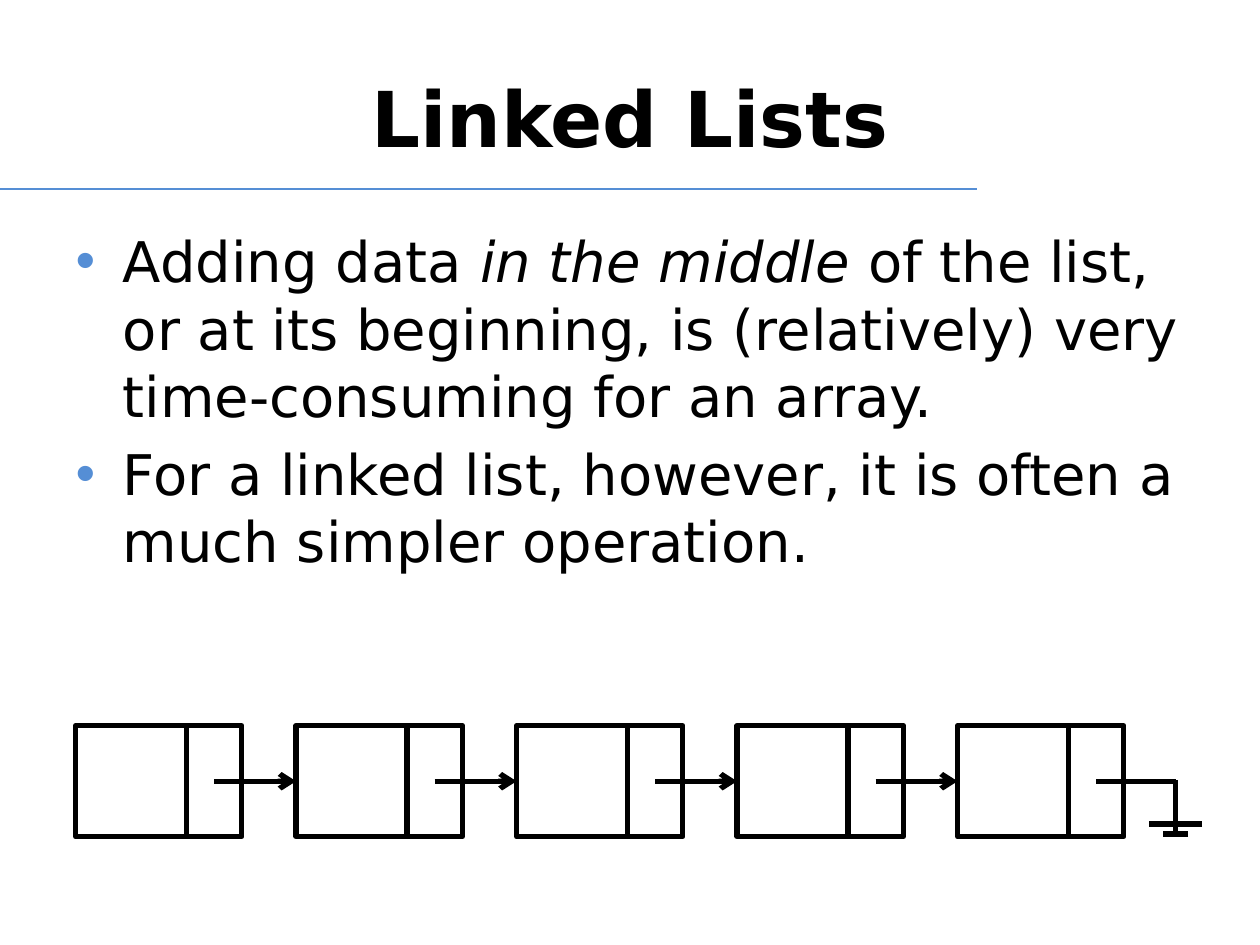
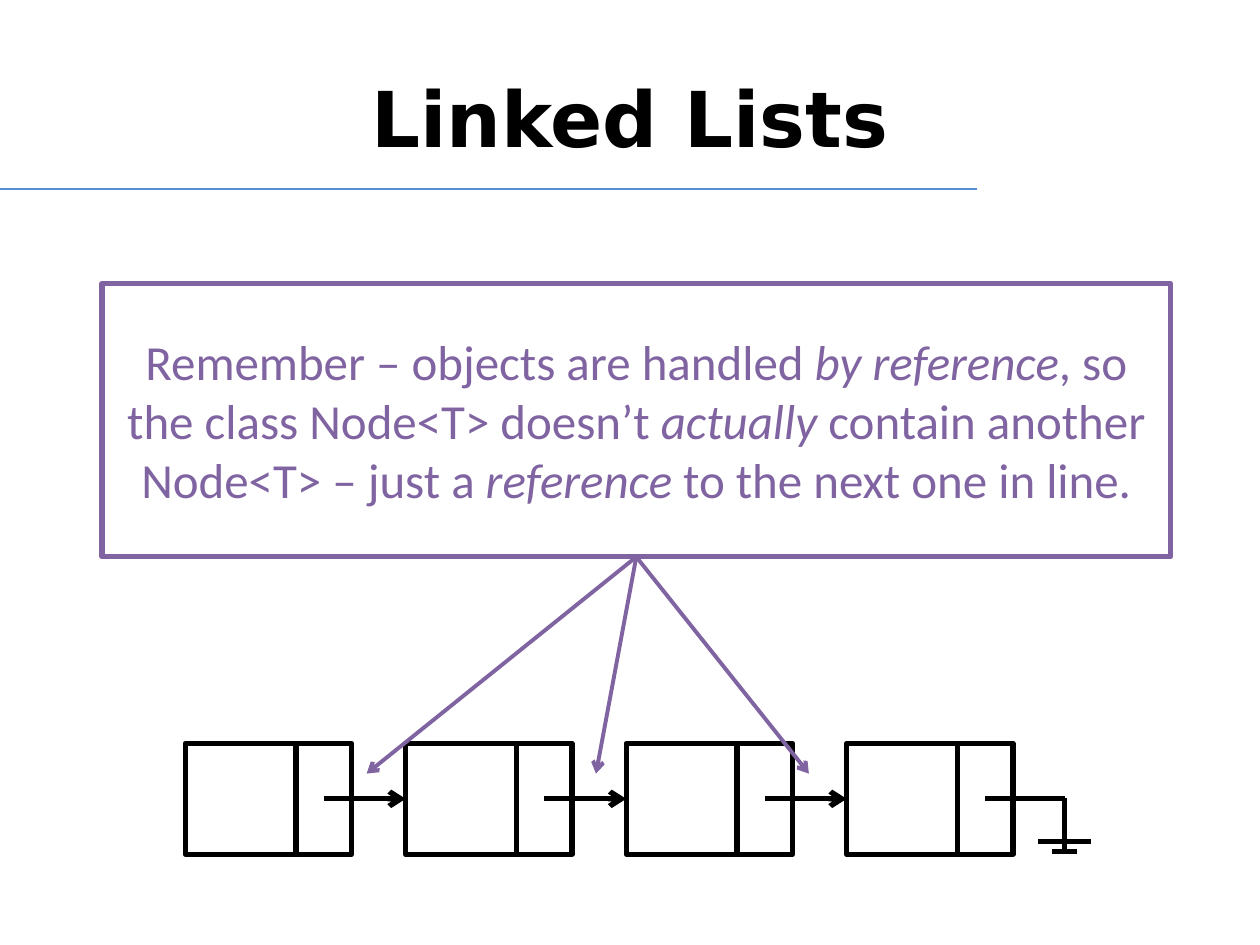
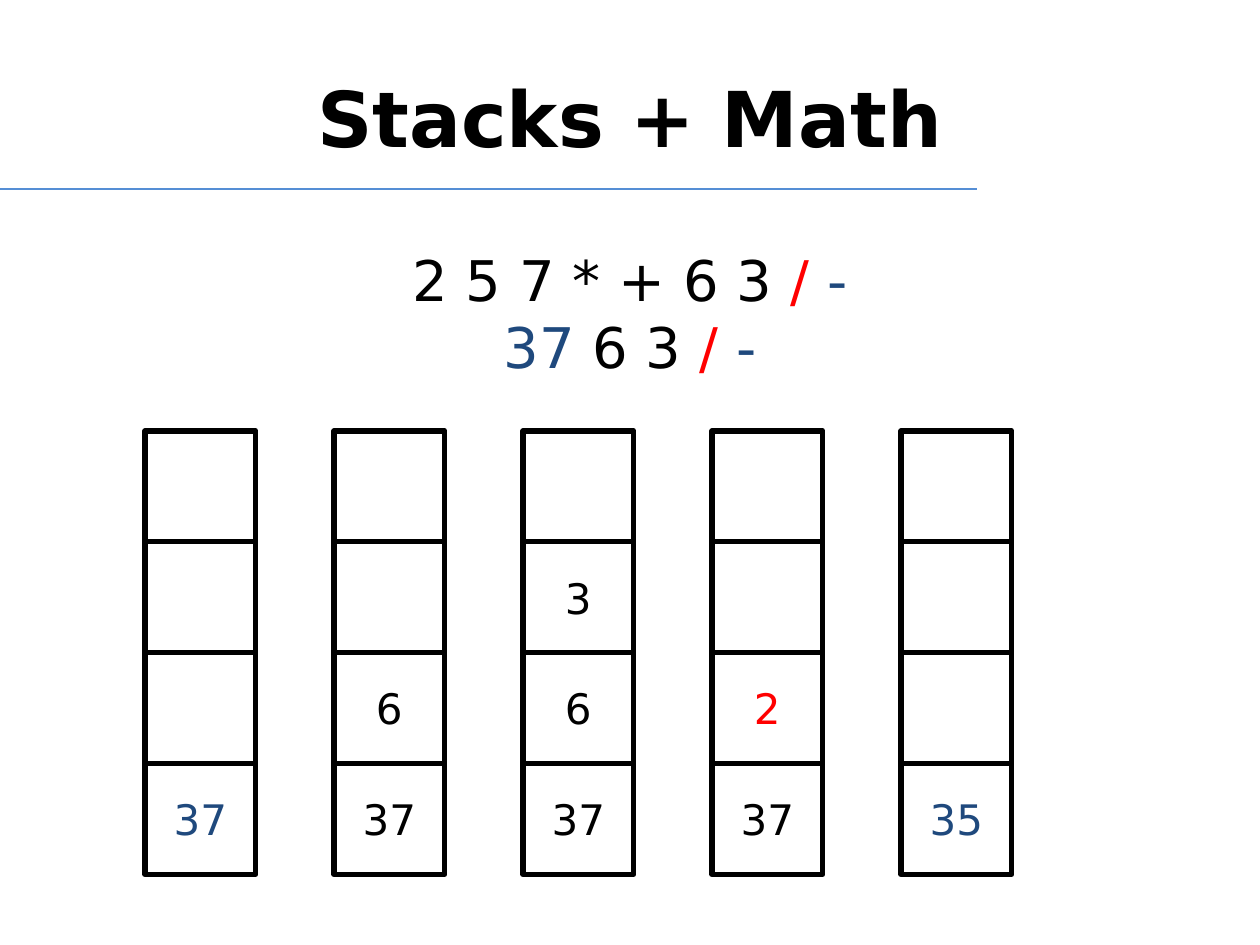
from dataclasses import dataclass
from typing import NamedTuple, Optional

from lxml import etree
from pptx import Presentation
from pptx.dml.color import RGBColor
from pptx.enum.shapes import MSO_CONNECTOR, MSO_SHAPE
from pptx.enum.text import MSO_ANCHOR, MSO_AUTO_SIZE, PP_ALIGN
from pptx.oxml.ns import qn
from pptx.shapes.autoshape import Shape
from pptx.shapes.connector import Connector
from pptx.slide import Slide
from pptx.text.text import TextFrame
from pptx.util import Pt

RECT = MSO_SHAPE.RECTANGLE
STRAIGHT = MSO_CONNECTOR.STRAIGHT
CENTER = PP_ALIGN.CENTER
LEFT = PP_ALIGN.LEFT
MIDDLE = MSO_ANCHOR.MIDDLE
GROW = MSO_AUTO_SIZE.SHAPE_TO_FIT_TEXT

SCALE = 9144  # EMU in one px, 100 px to the inch
BODY, PLAIN = 1, 5  # template layouts: title with list, title only
LEFT_SIDE, BOTTOM_SIDE = 1, 2


@dataclass(frozen=True)
class Theme:
    ink: str = "000000"
    paper: str = "FFFFFF"
    rule: str = "558ED5"
    note: str = "8064A2"
    navy: str = "1F497D"
    red: str = "FF0000"
    sans: str = "DejaVu Sans"
    soft: str = "Calibri"
    title: int = 44
    body: int = 32
    call: int = 28
    cell: int = 24
    gap: float = 6.4
    thick: float = 3
    mid: float = 2.25
    thin: float = 0.75


THEME = Theme()


class Box(NamedTuple):
    x: int
    y: int
    w: int
    h: int


class Spot(NamedTuple):
    x: int
    y: int


class Bit(NamedTuple):
    text: str
    color: str = THEME.ink
    slant: bool = False


class Style(NamedTuple):
    size: int
    font: str = THEME.sans
    bold: bool = False


class Chain(NamedTuple):
    x: int
    y: int
    count: int


Line = list[Bit]

# Shared places
TITLE_BOX = Box(50, 30, 900, 125)
BODY_BOX = Box(50, 175, 900, 495)
RULE_FROM, RULE_TO = Spot(0, 150), Spot(775, 150)

# Node parts: a square for data, half a square for the link
CELL = 88
HALF = CELL // 2
NODE_STEP = 175

# Stack grid
STACK_X, STACK_Y, STACK_STEP, DEPTH = 115, 342, 150, 4


def px(n: int) -> int:
    return n * SCALE


def rgb(code: str) -> RGBColor:
    return RGBColor.from_string(code)


def place(shape: Shape, box: Box) -> None:
    shape.left, shape.top, shape.width, shape.height = map(px, box)


def write(frame: TextFrame, lines: list[Line], style: Style,
          align: PP_ALIGN = CENTER, gap: float = 0,
          bullet: Optional[str] = None) -> None:
    frame.word_wrap = True
    for i, line in enumerate(lines):
        para = frame.add_paragraph() if i else frame.paragraphs[0]
        para.alignment = align
        para.space_before = Pt(gap if i else 0)
        if bullet:
            props = para._p.get_or_add_pPr()
            tint = etree.SubElement(props, qn("a:buClr"))
            etree.SubElement(tint, qn("a:srgbClr"), val=bullet)
            etree.SubElement(props, qn("a:buChar"), char="•")
        for bit in line:
            run = para.add_run()
            run.text = bit.text
            font = run.font
            font.name, font.size = style.font, Pt(style.size)
            font.bold, font.italic = style.bold, bit.slant
            font.color.rgb = rgb(bit.color)


def draw_box(slide: Slide, box: Box, color: str = THEME.ink) -> Shape:
    shape = slide.shapes.add_shape(RECT, *map(px, box))
    shape.shadow.inherit = False
    shape.fill.solid()
    shape.fill.fore_color.rgb = rgb(THEME.paper)
    shape.line.color.rgb = rgb(color)
    shape.line.width = Pt(THEME.thick)
    shape.text_frame.vertical_anchor = MIDDLE
    return shape


def draw_line(slide: Slide, start: Spot, end: Spot, color: str = THEME.ink,
              width: float = THEME.thick, arrow: bool = False) -> Connector:
    line = slide.shapes.add_connector(STRAIGHT, *map(px, (*start, *end)))
    line.line.color.rgb = rgb(color)
    line.line.width = Pt(width)
    props = line.element.spPr
    if arrow:
        etree.SubElement(props.find(qn("a:ln")), qn("a:tailEnd"), type="arrow")
    etree.SubElement(props, qn("a:effectLst"))
    return line


def draw_ground(slide: Slide, start: Spot) -> None:
    """Wire from the last link down to two short bars."""
    x = start.x + 63
    base = start.y + HALF
    draw_line(slide, start, Spot(x, start.y))
    draw_line(slide, Spot(x, start.y - 1), Spot(x, base))
    for reach, lift in ((21, 10), (10, 2)):
        y = base - lift
        draw_line(slide, Spot(x + reach, y), Spot(x - reach, y))


def draw_chain(slide: Slide, chain: Chain) -> None:
    nodes = []
    for i in range(chain.count):
        x = chain.x + i * NODE_STEP
        nodes.append(draw_box(slide, Box(x, chain.y, CELL, CELL)))
        draw_box(slide, Box(x + CELL, chain.y, HALF, CELL))
    start = Spot(chain.x + CELL + HALF // 2, chain.y + HALF)
    for i, node in enumerate(nodes[1:], 1):
        end = Spot(chain.x + i * NODE_STEP, start.y)
        arrow = draw_line(slide, start, end, arrow=True)
        arrow.end_connect(node, LEFT_SIDE)
        start = Spot(start.x + NODE_STEP, start.y)
    draw_ground(slide, start)


def draw_stack(slide: Slide, x: int, items: Line) -> None:
    """Cells from the bottom up; items fill the lowest ones."""
    for i in range(DEPTH):
        y = STACK_Y + (DEPTH - 1 - i) * CELL
        cell = draw_box(slide, Box(x, y, CELL, CELL))
        if i < len(items):
            write(cell.text_frame, [[items[i]]], Style(THEME.cell))


def add_slide(deck: Presentation, layout: int, title: str) -> Slide:
    slide = deck.slides.add_slide(deck.slide_layouts[layout])
    draw_line(slide, RULE_FROM, RULE_TO, THEME.rule, THEME.thin)
    head = slide.shapes.title
    place(head, TITLE_BOX)
    head.text_frame.vertical_anchor = MIDDLE
    write(head.text_frame, [[Bit(title)]], Style(THEME.title, bold=True))
    return slide


def add_insert(deck: Presentation) -> None:
    slide = add_slide(deck, BODY, "Linked Lists")
    body = slide.placeholders[1]
    place(body, BODY_BOX)
    lines = [
        [Bit("Adding data "), Bit("in the middle", slant=True),
         Bit(" of the list, or at its beginning, is (relatively) very "
             "time-consuming for an array.")],
        [Bit("For a linked list, however, it is often a much simpler "
             "operation.")],
    ]
    write(body.text_frame, lines, Style(THEME.body), LEFT, THEME.gap,
          THEME.rule)
    draw_chain(slide, Chain(60, 576, 5))


def add_nodes(deck: Presentation) -> None:
    slide = add_slide(deck, PLAIN, "Linked Lists")
    box = Box(81, 225, 848, 217)
    note = draw_box(slide, box, THEME.note)
    parts = [
        ("Remember – objects are handled ", False),
        ("by reference", True),
        (", so the class Node<T> doesn’t ", False),
        ("actually", True),
        (" contain another Node<T> – just a ", False),
        ("reference", True),
        (" to the next one in line.", False),
    ]
    line = [Bit(text, THEME.note, slant) for text, slant in parts]
    write(note.text_frame, [line], Style(THEME.call, THEME.soft))
    draw_chain(slide, Chain(147, 590, 4))
    # Pointers from the note to each link
    start = Spot(box.x + box.w // 2, box.y + box.h)
    for x in (291, 473, 642):
        arrow = draw_line(slide, start, Spot(x, 614), THEME.note, THEME.mid,
                          arrow=True)
        arrow.begin_connect(note, BOTTOM_SIDE)


def add_stacks(deck: Presentation) -> None:
    slide = add_slide(deck, PLAIN, "Stacks + Math")
    # Expression before and after the first steps
    area = slide.shapes.add_textbox(*map(px, Box(81, 190, 838, 118)))
    tail = [Bit("/ ", THEME.red), Bit("-", THEME.navy)]
    lines = [
        [Bit("2 5 7 * + 6 3 "), *tail],
        [Bit("37 ", THEME.navy), Bit("6 3 "), *tail],
    ]
    write(area.text_frame, lines, Style(THEME.body))
    area.text_frame.auto_size = GROW
    # One stack for each step
    base = Bit("37")
    stacks = [
        [Bit("37", THEME.navy)],
        [base, Bit("6")],
        [base, Bit("6"), Bit("3")],
        [base, Bit("2", THEME.red)],
        [Bit("35", THEME.navy)],
    ]
    for i, items in enumerate(stacks):
        draw_stack(slide, STACK_X + i * STACK_STEP, items)


def main() -> None:
    deck = Presentation()
    deck.slide_width, deck.slide_height = px(1000), px(750)
    add_insert(deck)
    add_nodes(deck)
    add_stacks(deck)
    deck.save("out.pptx")


if __name__ == "__main__":
    main()
